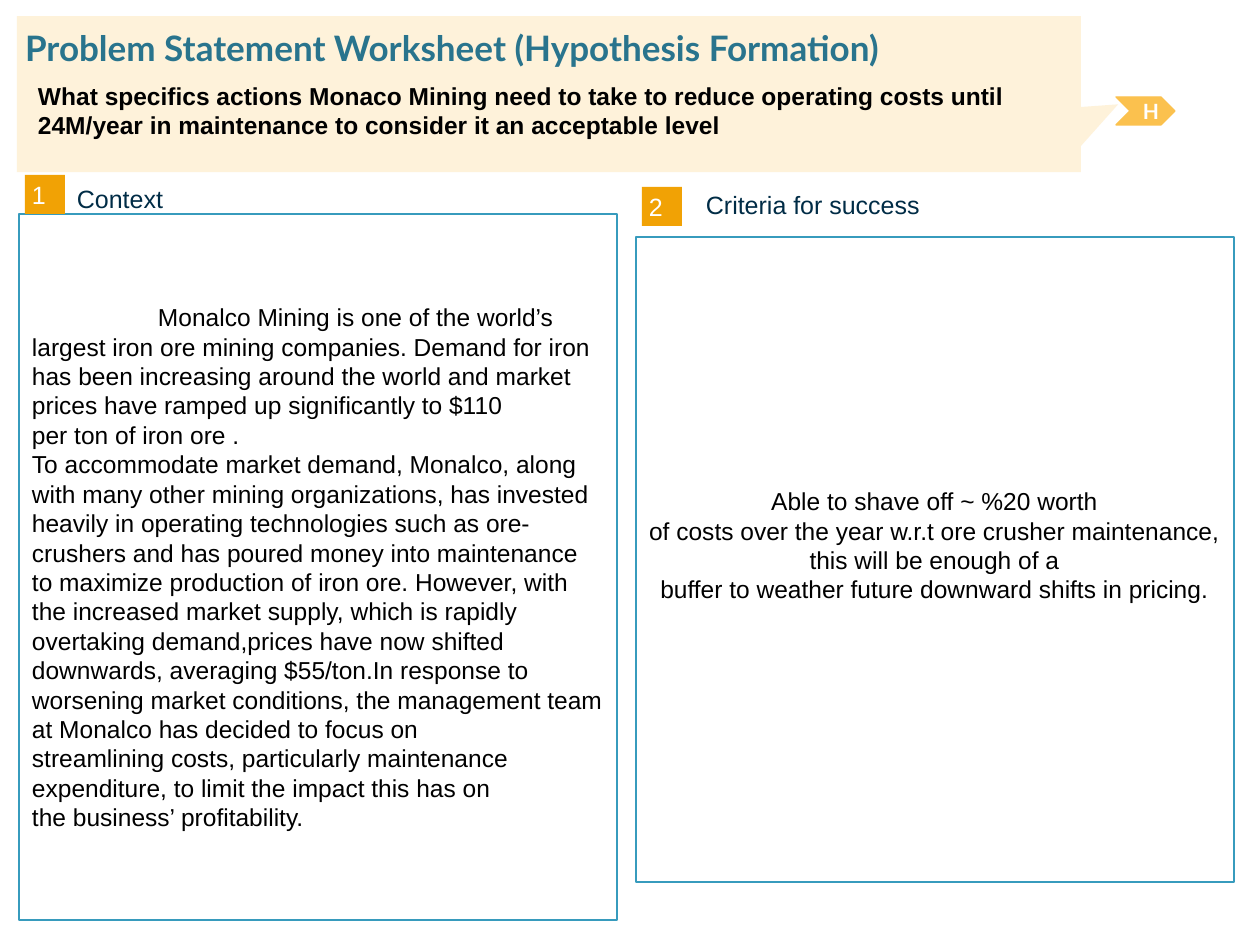
from pptx import Presentation
from pptx import util as u
from pptx.dml.color import RGBColor
from pptx.enum import shapes, text

PX = 914400 // 126
SHAPE = shapes.MSO_SHAPE
LEFT, CENTER = text.PP_ALIGN.LEFT, text.PP_ALIGN.CENTER
TOP, MIDDLE = text.MSO_ANCHOR.TOP, text.MSO_ANCHOR.MIDDLE


def rgb(value):
    return RGBColor.from_string(value)


def write(sp, lines, size, color, font="Arial", bold=False, align=LEFT,
          anchor=MIDDLE, insets=(13, 6, 14, 6)):
    tf = sp.text_frame
    sides = ("left", "top", "right", "bottom")
    form = {f"margin_{side}": inset * PX for side, inset in zip(sides, insets)}
    form.update(word_wrap=True, auto_size=text.MSO_AUTO_SIZE.NONE, vertical_anchor=anchor)
    for name, value in form.items():
        setattr(tf, name, value)
    for i, line in enumerate(lines):
        p = tf.paragraphs[0] if i == 0 else tf.add_paragraph()
        p.alignment = align
        r = p.add_run()
        r.text = line
        for name, value in {"size": u.Pt(size), "name": font, "bold": bold}.items():
            setattr(r.font, name, value)
        r.font.color.rgb = rgb(color)


def add_shape(kind, box, fill, line=None, width=1.5):
    sp = s.shapes.add_shape(kind, *[n * PX for n in box])
    sp.shadow.inherit = False
    sp.fill.solid()
    sp.fill.fore_color.rgb = rgb(fill)
    if line:
        sp.line.color.rgb = rgb(line)
        sp.line.width = u.Pt(width)
    else:
        sp.line.fill.background()
    return sp


prs = Presentation()
prs.slide_width, prs.slide_height = 1260 * PX, 945 * PX
s = prs.slides.add_slide(prs.slide_layouts[5])

# Callout behind the heading
callout = add_shape(SHAPE.RECTANGULAR_CALLOUT, (17, 16, 1064, 156), "FEF2DA")
callout.adjustments[0], callout.adjustments[1] = 0.535, 0.066

# Title, in front of the callout
title = s.shapes.title
s.shapes.element.append(title.element)
for name, value in zip(("left", "top", "width", "height"), (25, 26, 1212, 43)):
    setattr(title, name, value * PX)
write(title, ["Problem Statement Worksheet (Hypothesis Formation)"], 20, "29748D",
      font="Lato", bold=True, anchor=TOP, insets=(0, 0, 0, 0))

# Problem statement
question = s.shapes.add_textbox(*[n * PX for n in (25, 75, 1183, 68)])
write(question, [
    "What specifics actions Monaco Mining need to take to reduce operating costs until ",
    "24M/year in maintenance to consider it an acceptable level",
], 14, "000000", bold=True, anchor=TOP)

# Hypothesis marker
marker = add_shape(SHAPE.CHEVRON, (116 + 1000, 97, 59, 28), "FBC14E", "FBC14E", 0.74)
write(marker, ["H"], 12, "FFFFFF", font="Lato", bold=True, align=CENTER,
      insets=(13, 6, 13, 6))

# Numbered sections: panel box, badge top, label box, heading, alignment,
# first-line indent, bottom inset, text
sections = [
    ((19, 214, 598, 706), 175, (77, 184, 490, 30), "Context", LEFT, 126, 6, [
        "Monalco Mining is one of the world’s largest iron ore mining companies. "
        "Demand for iron has been increasing around the world and market prices have "
        "ramped up significantly to $110",
        "per ton of iron ore . ",
        "To accommodate market demand, Monalco, along with many other mining "
        "organizations, has invested heavily in operating technologies such as "
        "ore-crushers and has poured money into maintenance to maximize production of "
        "iron ore. However, with the increased market supply, which is rapidly "
        "overtaking demand,prices have now shifted downwards, averaging $55/ton.In "
        "response to worsening market conditions, the management team at Monalco has "
        "decided to focus on",
        "streamlining costs, particularly maintenance expenditure, to limit the impact "
        "this has on",
        "the business’ profitability.",
    ]),
    ((636, 237, 598, 645), 187, (706, 190, 495, 30), "Criteria for success", CENTER, 0, 35, [
        "Able to shave off ~ %20 worth",
        "of costs over the year w.r.t ore crusher maintenance, this will be enough of a",
        "buffer to weather future downward shifts in pricing.",
    ]),
]
for number, section in enumerate(sections, 1):
    box, badge_top, label_box, heading, align, indent, bottom, lines = section
    panel = add_shape(SHAPE.RECTANGLE, box, "FFFFFF", "379BBD")
    write(panel, lines, 14, "000000", align=align, insets=(13, 6, 14, bottom))
    if indent:
        pPr = panel.text_frame.paragraphs[0]._p.get_or_add_pPr()
        pPr.set("marL", "0")
        pPr.set("indent", str(indent * PX))
    badge = add_shape(SHAPE.RECTANGLE, (box[0] + 6, badge_top, 40, 39), "F1A205")
    write(badge, [str(number)], 14.3, "FFFFFF", insets=(7, 6, 6, 6))
    label = s.shapes.add_textbox(*[n * PX for n in label_box])
    write(label, [heading], 14.3, "002C46", insets=(0, 0, 0, 0))

prs.save("out.pptx")
